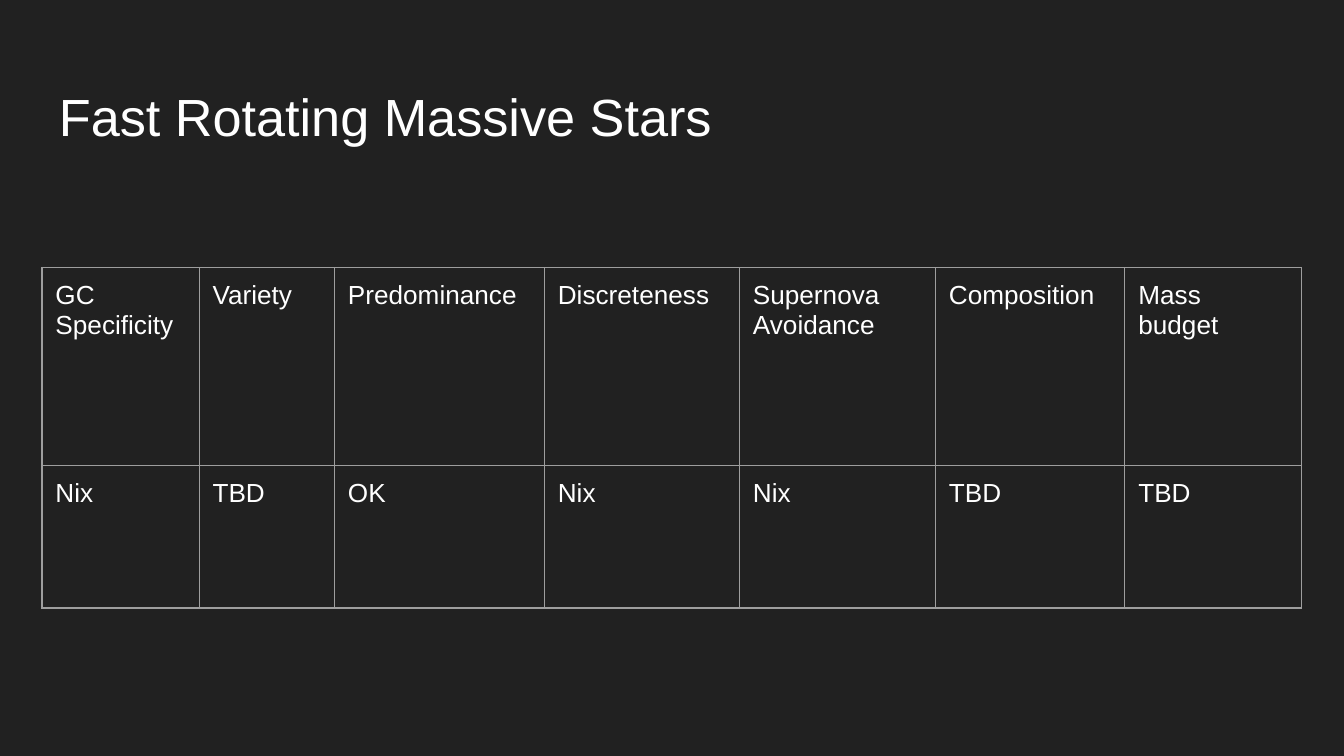
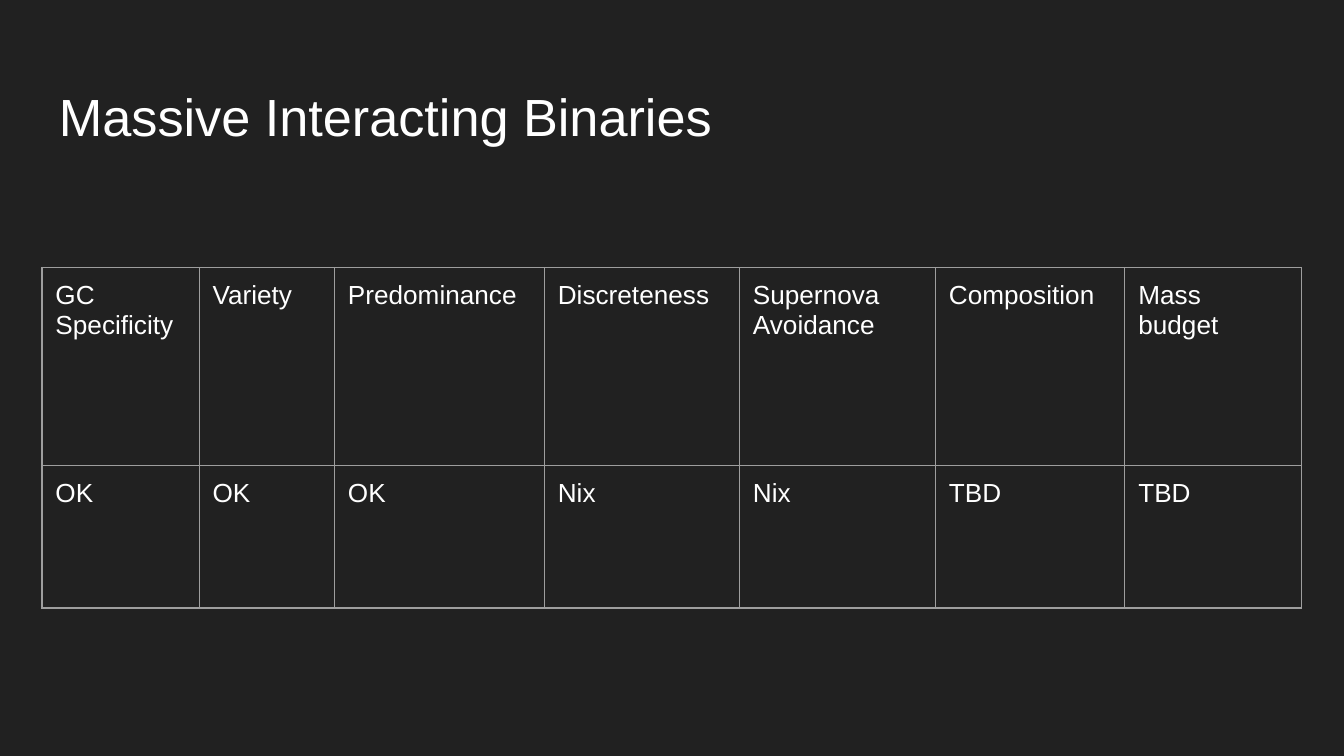
"""Build two slides that rate cluster enrichment scenarios against seven criteria."""
from lxml import etree
from pptx import Presentation
from pptx.dml.color import RGBColor
from pptx.enum.text import MSO_ANCHOR
from pptx.oxml.ns import qn
from pptx.util import Pt

TOP = MSO_ANCHOR.TOP
BACKGROUND = RGBColor(0x21, 0x21, 0x21)
WHITE = RGBColor(0xFF, 0xFF, 0xFF)
GRID = RGBColor(0x9E, 0x9E, 0x9E)
FONT = "Arial"
INSET = Pt(7.2)

CRITERIA = {
    "GC Specificity": 84.2,
    "Variety": 72.5,
    "Predominance": 112.5,
    "Discreteness": 104.5,
    "Supernova Avoidance": 105,
    "Composition": 101.5,
    "Mass budget": 94.5,
}
ROW_HEIGHTS = [106, 76.5]
SCENARIOS = {
    "Fast Rotating Massive Stars": ["Nix", "TBD", "OK", "Nix", "Nix", "TBD", "TBD"],
    "Massive Interacting Binaries": ["OK", "OK", "OK", "Nix", "Nix", "TBD", "TBD"],
}


def write(frame, text, size):
    run = frame.paragraphs[0].add_run()
    run.text = text
    run.font.name = FONT
    run.font.size = Pt(size)
    run.font.color.rgb = WHITE


def draw_borders(cell):
    properties = cell._tc.get_or_add_tcPr()
    for side in ("a:lnL", "a:lnR", "a:lnT", "a:lnB"):
        line = etree.SubElement(properties, qn(side), w=str(Pt(0.75)))
        fill = etree.SubElement(line, qn("a:solidFill"))
        etree.SubElement(fill, qn("a:srgbClr"), val=str(GRID))


prs = Presentation()
prs.slide_width, prs.slide_height = Pt(720), Pt(405)
blank = prs.slide_layouts[6]

for scenario, ratings in SCENARIOS.items():
    slide = prs.slides.add_slide(blank)
    slide.background.fill.solid()
    slide.background.fill.fore_color.rgb = BACKGROUND

    title = slide.shapes.add_textbox(Pt(24.5), Pt(35.3), Pt(671), Pt(45.4)).text_frame
    title.word_wrap = True
    title.vertical_anchor = TOP
    title.margin_left = title.margin_right = INSET
    title.margin_top, title.margin_bottom = Pt(10), Pt(0)
    write(title, scenario, 28)

    rows = [list(CRITERIA), ratings]
    table = slide.shapes.add_table(
        len(rows), len(CRITERIA), Pt(22.5), Pt(143.3),
        Pt(sum(CRITERIA.values())), Pt(sum(ROW_HEIGHTS)),
    ).table
    table.first_row = table.horz_banding = False
    for column, width in zip(table.columns, CRITERIA.values()):
        column.width = Pt(width)
    for row, height, texts in zip(table.rows, ROW_HEIGHTS, rows):
        row.height = Pt(height)
        for cell, text in zip(row.cells, texts):
            draw_borders(cell)
            cell.fill.background()
            cell.vertical_anchor = TOP
            cell.margin_left = cell.margin_right = INSET
            cell.margin_top = cell.margin_bottom = INSET
            write(cell.text_frame, text, 14)

prs.save("out.pptx")
